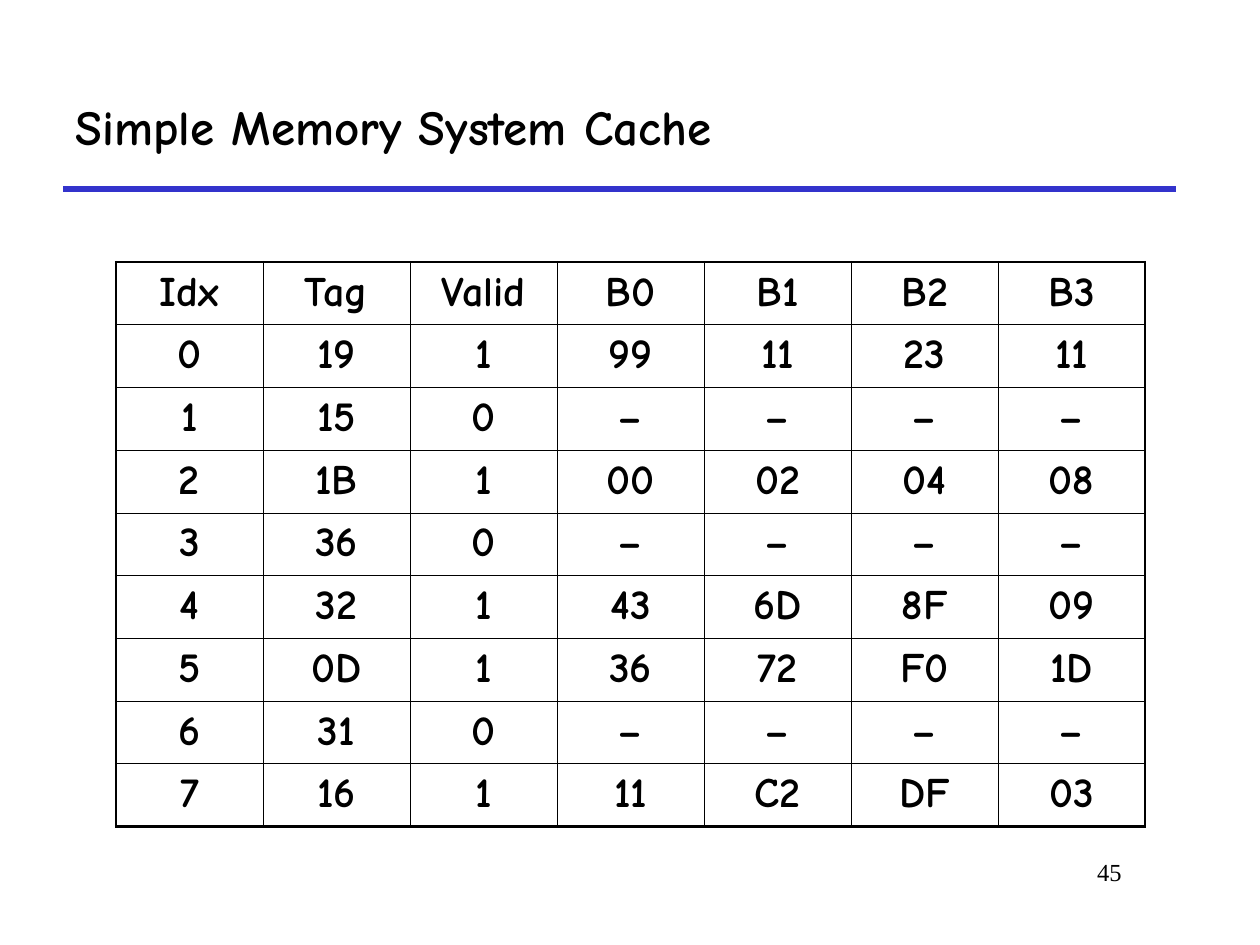
from dataclasses import dataclass

from lxml.etree import SubElement
from pptx import Presentation
from pptx.dml.color import RGBColor
from pptx.enum.shapes import MSO_CONNECTOR
from pptx.enum.text import MSO_ANCHOR, PP_ALIGN
from pptx.oxml import parse_xml
from pptx.oxml.ns import nsdecls, qn
from pptx.util import Inches, Pt

BLACK = RGBColor(0x00, 0x00, 0x00)
RULE_BLUE = RGBColor(0x33, 0x33, 0xCC)
OUTER_BORDER = Pt(1.47)
INNER_BORDER = Pt(0.45)

CACHE_ROWS = [
    "Idx Tag Valid B0 B1 B2 B3".split(),
    "0 19 1 99 11 23 11".split(),
    "1 15 0 – – – –".split(),
    "2 1B 1 00 02 04 08".split(),
    "3 36 0 – – – –".split(),
    "4 32 1 43 6D 8F 09".split(),
    "5 0D 1 36 72 F0 1D".split(),
    "6 31 0 – – – –".split(),
    "7 16 1 11 C2 DF 03".split(),
]


@dataclass(frozen=True)
class TextStyle:
    font: str
    size: int
    bold: bool
    align: PP_ALIGN


TITLE_STYLE = TextStyle("Comic Neue", 28, True, PP_ALIGN.LEFT)
CELL_STYLE = TextStyle("Comic Neue", 24, True, PP_ALIGN.CENTER)
NUMBER_STYLE = TextStyle("Times New Roman", 14, False, PP_ALIGN.RIGHT)


def write_text(text_frame, text: str, style: TextStyle) -> None:
    paragraph = text_frame.paragraphs[0]
    paragraph.alignment = style.align
    run = paragraph.add_run()
    run.text = text
    run.font.name = style.font
    run.font.size = Pt(style.size)
    run.font.bold = style.bold
    run.font.color.rgb = BLACK


def place(shape, left: float, top: float, width: float, height: float) -> None:
    shape.left, shape.top = Inches(left), Inches(top)
    shape.width, shape.height = Inches(width), Inches(height)


def add_title(slide, text: str) -> None:
    title = slide.shapes.title
    place(title, 0.5, 0.5, 8.83, 1)
    title.text_frame.vertical_anchor = MSO_ANCHOR.MIDDLE
    write_text(title.text_frame, text, TITLE_STYLE)


def add_title_rule(slide) -> None:
    rule = slide.shapes.add_connector(
        MSO_CONNECTOR.STRAIGHT, Inches(0.5), Inches(1.5), Inches(9.33), Inches(1.5)
    )
    rule.line.color.rgb = RULE_BLUE
    rule.line.width = Pt(3)
    SubElement(rule._element.spPr, qn("a:effectLst"))


def set_borders(cell, outer_sides: dict[str, bool]) -> None:
    """Draw the four borders, heavier on the outside of the table."""
    properties = cell._tc.get_or_add_tcPr()
    for position, (side, is_outer) in enumerate(outer_sides.items()):
        width = OUTER_BORDER if is_outer else INNER_BORDER
        border = parse_xml(
            f'<a:ln{side} {nsdecls("a")} w="{int(width)}"><a:solidFill>'
            f'<a:srgbClr val="{BLACK}"/></a:solidFill></a:ln{side}>'
        )
        properties.insert(position, border)


def add_cache_table(slide, rows: list[list[str]]) -> None:
    row_count, column_count = len(rows), len(rows[0])
    table = slide.shapes.add_table(
        row_count, column_count,
        Inches(0.92), Inches(2.08), Inches(8.17), Inches(4.48),
    ).table
    table.horz_banding = False
    for row_index, values in enumerate(rows):
        for column_index, value in enumerate(values):
            cell = table.cell(row_index, column_index)
            cell.fill.background()
            write_text(cell.text_frame, value, CELL_STYLE)
            set_borders(cell, {
                "L": column_index == 0,
                "R": column_index == column_count - 1,
                "T": row_index == 0,
                "B": row_index == row_count - 1,
            })


def add_slide_number(slide, number: str) -> None:
    box = slide.shapes.add_textbox(
        Inches(7.58), Inches(6.75), Inches(1.42), Inches(0.5)
    )
    box.text_frame.word_wrap = True
    write_text(box.text_frame, number, NUMBER_STYLE)


def main() -> None:
    presentation = Presentation()
    presentation.slide_width = Inches(10)
    presentation.slide_height = Inches(7.5)
    title_only = presentation.slide_layouts[5]
    slide = presentation.slides.add_slide(title_only)

    # Heading
    add_title_rule(slide)
    add_title(slide, "Simple Memory System Cache")

    # Cache contents and page number
    add_cache_table(slide, CACHE_ROWS)
    add_slide_number(slide, "45")

    presentation.save("out.pptx")


if __name__ == "__main__":
    main()
